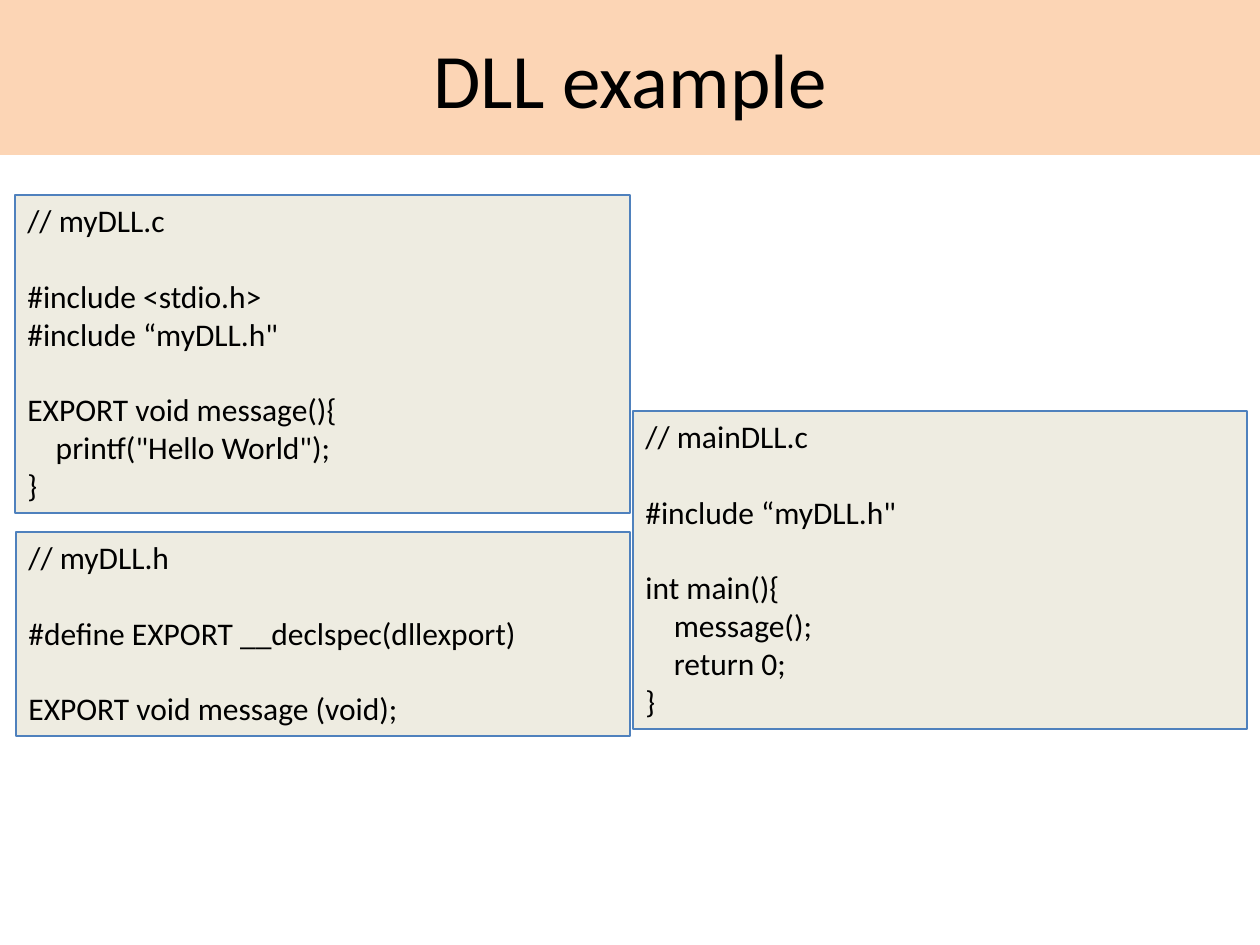
from dataclasses import dataclass

from pptx import Presentation
from pptx.dml.color import RGBColor as Color
from pptx.enum.text import MSO_ANCHOR as Anchor, MSO_AUTO_SIZE as AutoSize, PP_ALIGN as Align
from pptx.util import Emu, Pt

SCALE = 914400 / 126


@dataclass(frozen=True)
class Theme:
    """Colours, font and sizes of the slide."""
    font: str = "Calibri"
    ink: str = "000000"
    banner: str = "FCD5B5"
    panel: str = "EEECE1"
    border: str = "4F81BD"
    border_width: float = 0.75
    title_size: int = 44
    code_size: int = 18
    group_gap: float = 21.6


THEME = Theme()

LIBRARY_SOURCE = [
    ["// myDLL.c"],
    ["#include <stdio.h>", "#include “myDLL.h\""],
    ["EXPORT void message(){", "    printf(\"Hello World\");", "}"],
]
LIBRARY_HEADER = [
    ["// myDLL.h"],
    ["#define EXPORT __declspec(dllexport)"],
    ["EXPORT void message (void);"],
]
MAIN_SOURCE = [
    ["// mainDLL.c"],
    ["#include “myDLL.h\""],
    ["int main(){", "    message();", "    return 0;", "}"],
]


def px(length):
    """Turn a length in pixels into EMU."""
    return Emu(round(length * SCALE))


def paint(shape, color):
    """Fill a shape with one solid colour."""
    shape.fill.solid()
    shape.fill.fore_color.rgb = Color.from_string(color)


def write(para, text, size=THEME.code_size, color=THEME.ink, align=Align.LEFT, gap=0):
    """Put formatted text into a paragraph, with an optional gap before it."""
    para.alignment = align
    if gap:
        para.space_before = Pt(gap)
    span = para.add_run()
    span.text = text
    span.font.name = THEME.font
    span.font.size = Pt(size)
    span.font.color.rgb = Color.from_string(color)


def add_title(page, text, left, top, width, height):
    """Turn the title placeholder into a coloured banner."""
    title = page.shapes.title
    title.left, title.top, title.width, title.height = map(px, (left, top, width, height))
    paint(title, THEME.banner)
    frame = title.text_frame
    frame.vertical_anchor = Anchor.MIDDLE
    write(frame.paragraphs[0], text, size=THEME.title_size, align=Align.CENTER)


def add_code(page, groups, left, top, width, height):
    """Add a bordered panel of code whose line groups are set apart."""
    box = page.shapes.add_textbox(*map(px, (left, top, width, height)))
    paint(box, THEME.panel)
    box.line.color.rgb = Color.from_string(THEME.border)
    box.line.width = Pt(THEME.border_width)
    frame = box.text_frame
    frame.word_wrap = True
    frame.auto_size = AutoSize.SHAPE_TO_FIT_TEXT
    for group_index, lines in enumerate(groups):
        for line_index, line in enumerate(lines):
            first = group_index == line_index == 0
            para = frame.paragraphs[0] if first else frame.add_paragraph()
            opens_group = group_index > 0 and line_index == 0
            write(para, line, gap=THEME.group_gap if opens_group else 0)


def main():
    """Build the slide and save it."""
    deck = Presentation()
    deck.slide_width, deck.slide_height = px(1260), px(945)
    page = deck.slides.add_slide(deck.slide_layouts.get_by_name("Title Only"))
    add_title(page, "DLL example", 0, 0, 1260, 155)
    add_code(page, LIBRARY_SOURCE, 15, 195, 615, 318)
    add_code(page, LIBRARY_HEADER, 16, 532, 614, 204)
    add_code(page, MAIN_SOURCE, 633, 411, 614, 318)
    deck.save("out.pptx")


if __name__ == "__main__":
    main()
